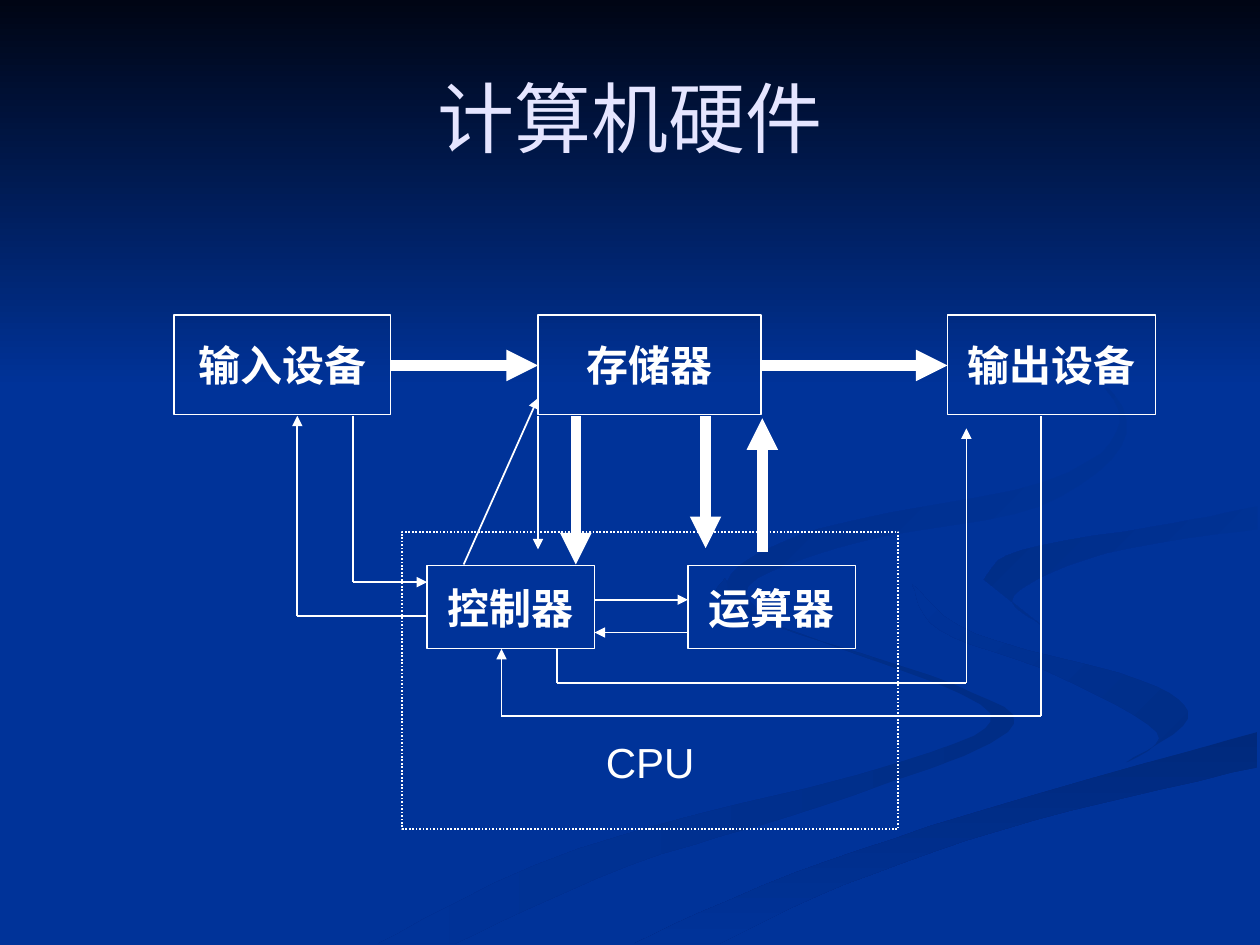
from itertools import pairwise

from lxml import etree
from pptx import Presentation
from pptx.dml.color import RGBColor
from pptx.enum.dml import MSO_LINE
from pptx.enum.shapes import MSO_CONNECTOR, MSO_SHAPE
from pptx.enum.text import MSO_ANCHOR, PP_ALIGN
from pptx.oxml.ns import qn
from pptx.util import Inches, Pt

STRAIGHT = MSO_CONNECTOR.STRAIGHT
RECTANGLE = MSO_SHAPE.RECTANGLE
DOTTED = MSO_LINE.ROUND_DOT
MIDDLE, TOP = MSO_ANCHOR.MIDDLE, MSO_ANCHOR.TOP
CENTER = PP_ALIGN.CENTER

WHITE = RGBColor(0xFF, 0xFF, 0xFF)
LAVENDER = RGBColor(0xE5, 0xE5, 0xFF)
BLUE = RGBColor(0x00, 0x33, 0x99)
NIGHT = RGBColor(0x00, 0x05, 0x14)
SHADE = RGBColor(0x00, 0x2D, 0x86)
DEEP = RGBColor(0x00, 0x29, 0x7C)

WIDTH, HEIGHT = 10, 7.5
HUNDREDTH = Inches(0.01)
CURVE_STEPS = 6
THIN, THICK = 1, 6

RIBBONS = [
    (SHADE, BLUE, 180,
     [(5.75, 4.59), (6.14, 4.96), (7.57, 5.43), (8, 5.81), (6.51, 6.4), (4.99, 6.87), (3.61, 7.49)],
     [(3, 7.49), (4.58, 6.74), (7.14, 6.05), (7.86, 5.66), (6.79, 5.19), (5.76, 4.8), (5.75, 4.59)]),
    (SHADE, BLUE, 225,
     [(7.24, 4.64), (7.74, 5.03), (9.05, 5.4), (9.43, 5.7), (8.94, 6.05)],
     [(8.94, 6.05), (9.18, 5.81), (8.38, 5.36), (7.46, 5), (7.24, 4.64)]),
    (DEEP, BLUE, 90,
     [(5.03, 7.49), (6.3, 6.93), (7.97, 6.38), (9.98, 5.81)],
     [(9.98, 6.09), (8.21, 6.51), (6.7, 7.02), (5.71, 7.49)]),
    (BLUE, SHADE, 225,
     [(7.81, 4.6), (8.1, 4.37), (9.33, 4.15), (9.98, 4.02)],
     [(9.98, 4.2), (8.78, 4.39), (8.05, 4.72), (8.26, 4.96)]),
    (BLUE, SHADE, 225,
     [(7.62, 2.33), (8.54, 2.83), (8.94, 3.44), (8.25, 4.02), (6.83, 4.3), (5.94, 4.65), (6.22, 5)],
     [(6.22, 5), (5.77, 4.62), (6.49, 4.2), (8.3, 3.82), (8.89, 3.35), (8.46, 2.79), (7.62, 2.33)]),
    (NIGHT, BLUE, 90, [(0, 0), (WIDTH, 0)], [(WIDTH, 3.08), (0, 3.08)]),
]

TITLE = ("计算机硬件", (0.5, 0.3, 9, 1.25))
ROWS = [
    (2.5, 0.79, [("输入设备", 1.38, 1.72), ("存储器", 4.27, 1.77), ("输出设备", 7.52, 1.65)]),
    (4.49, 0.66, [("控制器", 3.39, 1.33), ("运算器", 5.46, 1.33)]),
]
CPU_FRAME = (3.19, 4.22, 3.94, 2.36)
CPU_LABEL = ("CPU", (4.45, 5.8, 1.42, 0.5))

BUS, UPPER, LOWER = 2.9, 3.3, 5.15
INPUT_RIGHT, MEMORY_LEFT, MEMORY_RIGHT, OUTPUT_LEFT = 3.1, 4.27, 6.05, 7.52
CONTROL_LEFT, CONTROL_RIGHT, ARITHMETIC_LEFT = 3.39, 4.72, 5.46

ROUTES = [
    (THICK, [(INPUT_RIGHT, BUS), (MEMORY_LEFT, BUS)]),
    (THICK, [(MEMORY_RIGHT, BUS), (OUTPUT_LEFT, BUS)]),
    (THICK, [(4.57, UPPER), (4.57, 4.48)]),
    (THICK, [(5.6, UPPER), (5.6, 4.35)]),
    (THICK, [(MEMORY_RIGHT, 4.38), (MEMORY_RIGHT, 3.32)]),
    (THIN, [(MEMORY_LEFT, UPPER), (MEMORY_LEFT, 4.36)]),
    (THIN, [(3.68, 4.48), (MEMORY_LEFT, 3.16)]),
    (THIN, [(CONTROL_RIGHT, 4.76), (ARITHMETIC_LEFT, 4.76)]),
    (THIN, [(ARITHMETIC_LEFT, 5.02), (CONTROL_RIGHT, 5.02)]),
    (THIN, [(2.8, UPPER), (2.8, 4.62), (CONTROL_LEFT, 4.62)]),
    (THIN, [(CONTROL_LEFT, 4.89), (2.36, 4.89), (2.36, UPPER)]),
    (THIN, [(4.42, LOWER), (4.42, 5.42), (7.67, 5.42), (7.67, 3.4)]),
    (THIN, [(8.26, UPPER), (8.26, 5.68), (3.98, 5.68), (3.98, LOWER)]),
]


def blend(a, b, c, d, t):
    return b + t * (c - a + t * (2 * a - 5 * b + 4 * c - d + t * (3 * (b - c) + d - a))) / 2


def smooth(edge):
    padded = [edge[0], *edge, edge[-1]]
    curve = []
    for index in range(len(edge) - 1):
        xs, ys = zip(*padded[index:index + 4])
        for step in range(CURVE_STEPS):
            t = step / CURVE_STEPS
            x = min(max(blend(*xs, t), 0), WIDTH)
            y = min(max(blend(*ys, t), 0), HEIGHT)
            curve.append((round(x * 100), round(y * 100)))
    return curve + [tuple(round(value * 100) for value in edge[-1])]


def add_ribbon(page, first, last, angle, outer, inner):
    points = smooth(outer) + smooth(inner)
    builder = page.shapes.build_freeform(*points[0], scale=HUNDREDTH)
    builder.add_line_segments(points[1:], close=True)
    ribbon = builder.convert_to_shape()
    ribbon.shadow.inherit = False
    ribbon.line.fill.background()
    ribbon.fill.gradient()
    ribbon.fill.gradient_angle = 360 - angle
    for stop, color in zip(ribbon.fill.gradient_stops, (first, last)):
        stop.color.rgb = color


def write(shape, text, size, color, font="Times New Roman", bold=False, anchor=MIDDLE):
    frame = shape.text_frame
    frame.word_wrap = True
    frame.vertical_anchor = anchor
    frame.text = text
    para = frame.paragraphs[0]
    para.alignment = CENTER
    span = para.runs[0]
    span.font.size = Pt(size)
    span.font.name = font
    span.font.bold = bold
    span.font.color.rgb = color


def add_label(page, text, place, **style):
    box = page.shapes.add_textbox(*map(Inches, place))
    write(box, text, **style)


def add_frame(page, place, width):
    box = page.shapes.add_shape(RECTANGLE, *map(Inches, place))
    box.shadow.inherit = False
    box.fill.background()
    box.line.color.rgb = WHITE
    box.line.width = Pt(width)
    return box


def add_route(page, width, points):
    for start, end in pairwise(points):
        connector = page.shapes.add_connector(STRAIGHT, *map(Inches, start + end))
        connector.line.color.rgb = WHITE
        connector.line.width = Pt(width)
        properties = connector._element.spPr
        etree.SubElement(properties, qn("a:effectLst"))
    etree.SubElement(properties.find(qn("a:ln")), qn("a:tailEnd"), type="triangle")


def main():
    deck = Presentation()
    deck.slide_width, deck.slide_height = Inches(WIDTH), Inches(HEIGHT)
    page = deck.slides.add_slide(deck.slide_layouts[6])
    page.background.fill.solid()
    page.background.fill.fore_color.rgb = BLUE

    for ribbon in RIBBONS:
        add_ribbon(page, *ribbon)
    add_label(page, *TITLE, size=44, color=LAVENDER)
    for top, height, units in ROWS:
        for name, left, width in units:
            box = add_frame(page, (left, top, width, height), 0.75)
            write(box, name, 24, WHITE, bold=True)
    for route in ROUTES:
        add_route(page, *route)
    add_frame(page, CPU_FRAME, 1).line.dash_style = DOTTED
    add_label(page, *CPU_LABEL, size=24, color=WHITE, font="Arial", anchor=TOP)
    deck.save("out.pptx")


if __name__ == "__main__":
    main()
